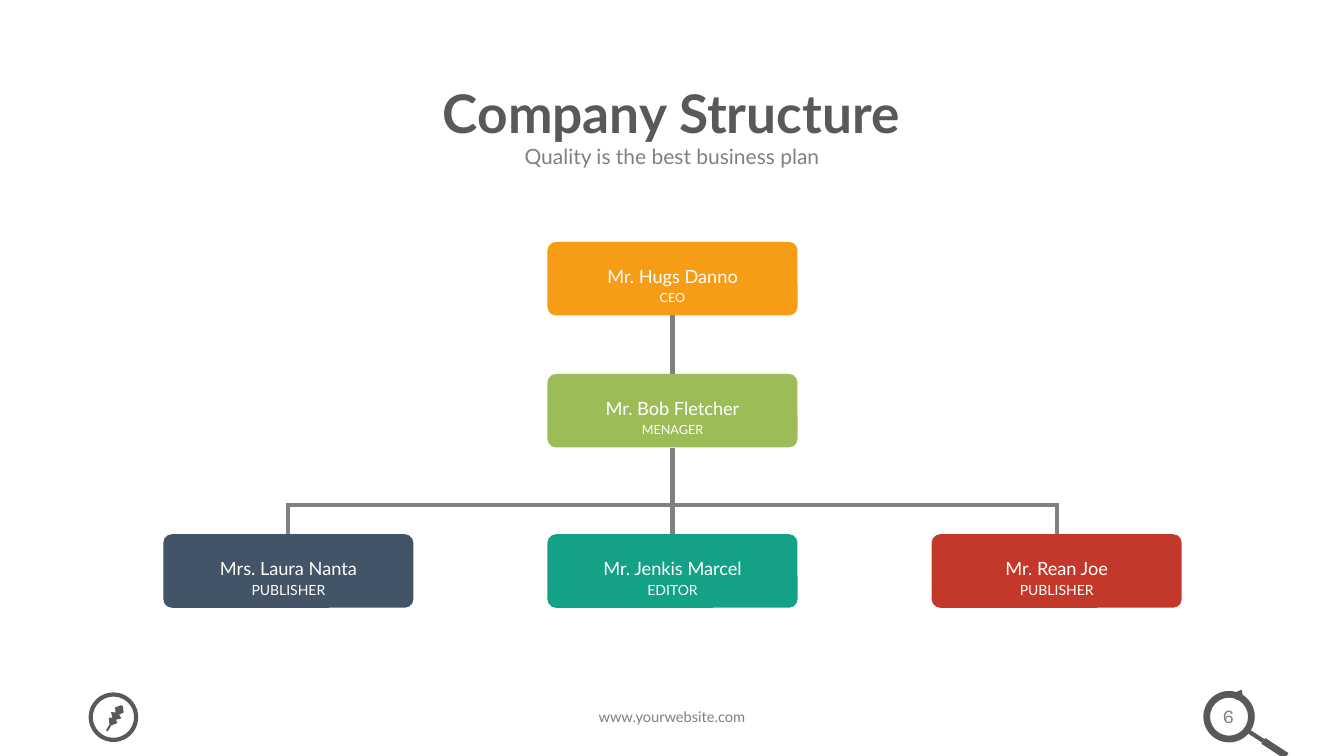
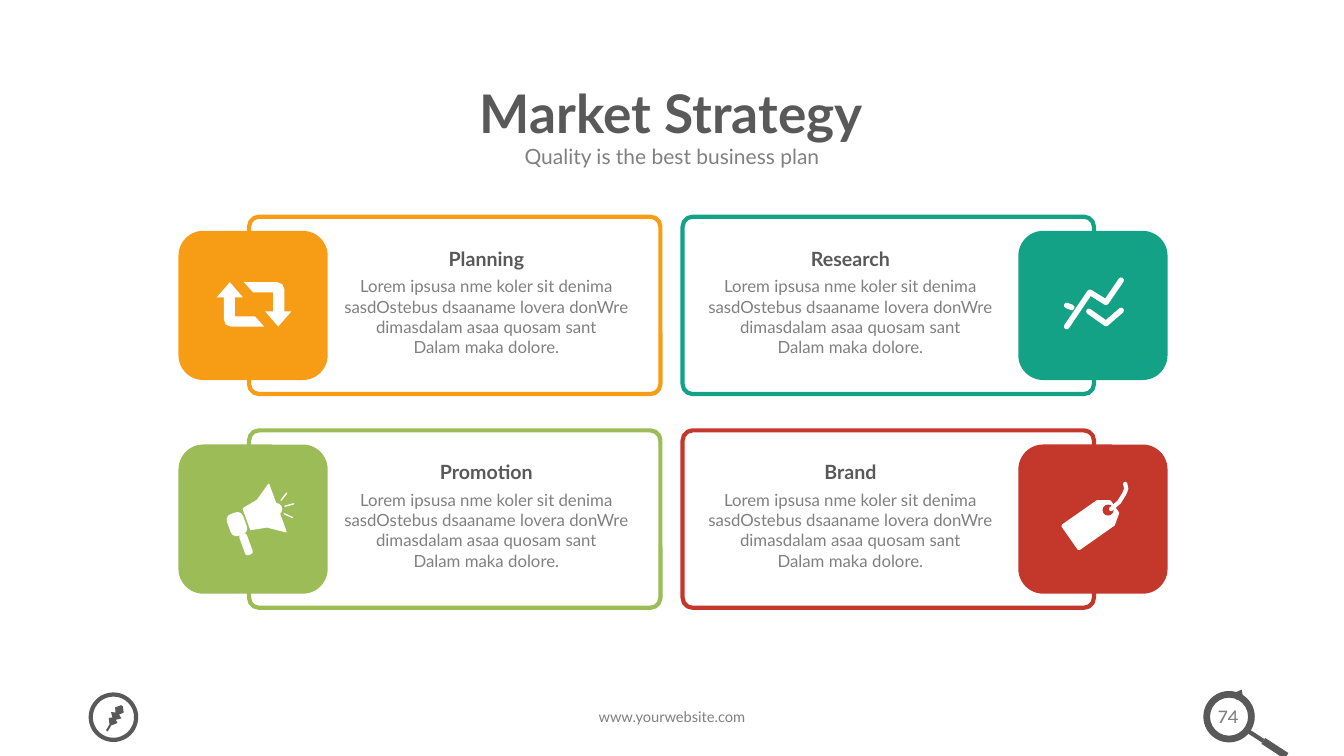
import math

import pptx
import pptx.dml.color
import pptx.enum.shapes
import pptx.enum.text
import pptx.oxml.ns
import pptx.util
from lxml import etree

Inches = pptx.util.Inches
RGBColor = pptx.dml.color.RGBColor
SHAPE = pptx.enum.shapes.MSO_SHAPE
TOP = pptx.enum.text.MSO_ANCHOR.TOP
MIDDLE = pptx.enum.text.MSO_ANCHOR.MIDDLE

DARK = RGBColor(0x59, 0x59, 0x59)
GRAY = RGBColor(0x80, 0x80, 0x80)
WHITE = RGBColor(0xFF, 0xFF, 0xFF)
ORANGE = RGBColor(0xF6, 0x9C, 0x15)
GREEN = RGBColor(0x9C, 0xBC, 0x58)
TEAL = RGBColor(0x13, 0xA2, 0x86)
RED = RGBColor(0xC3, 0x38, 0x2B)
NAVY = RGBColor(0x44, 0x54, 0x68)

# Organisation chart
PERSON_WIDTH, PERSON_HEIGHT = 2.48, 0.73
CHART_MIDDLE, BRANCH_SPREAD = 6.67, 3.81
CEO_TOP, MANAGER_TOP, BRANCH_BAR, TEAM_TOP = 2.4, 3.71, 5.01, 5.3

# Strategy cards
CARD_WIDTH, CARD_HEIGHT = 4.08, 1.76
BADGE = 1.48
BADGE_INSET = (CARD_HEIGHT - BADGE) / 2
TEXT_WIDTH = 3.13
LEFT_COLUMN = {"card_left": 2.47, "text_left": 3.26, "badge_left": 1.77}
RIGHT_COLUMN = {"card_left": 6.77, "text_left": 6.87, "badge_left": 10.1}
UPPER_ROW, LOWER_ROW = 2.15, 4.27
BODY = ["Lorem ipsusa nme koler sit denima sasdOstebus dsaaname lovera donWre "
        "dimasdalam asaa quosam sant", "Dalam maka dolore."]


def mirrored(half):
    """Complete one side of an outline with its reflection across the x axis."""
    return half + [(x, -y) for x, y in reversed(half)]


def turned(points, degrees):
    cosine, sine = math.cos(math.radians(degrees)), math.sin(math.radians(degrees))
    return [(x * cosine - y * sine, x * sine + y * cosine) for x, y in points]


class Slides:
    def __init__(self):
        self.deck = pptx.Presentation()
        self.deck.slide_width = Inches(13.33)
        self.deck.slide_height = Inches(7.5)
        self.page = None

    def new_page(self, title, number):
        self.page = self.deck.slides.add_slide(self.deck.slide_layouts[6])
        self.text(1.66, 0.74, 10, 0.82, [title], 38, DARK, bold=True, spacing=0.9, anchor=MIDDLE)
        self.text(2.67, 1.37, 7.99, 0.39, ["Quality is the best business plan"], 15, GRAY)
        self.text(4.25, 6.97, 4.83, 0.29, ["www.yourwebsite.com"], 10.5, GRAY)
        self.shape(SHAPE.OVAL, 0.9, 6.89, 0.45, 0.45, line=DARK)
        draw_feather(self, 1.06, 7.25)
        draw_magnifier(self, 12.19, 7.11)
        self.text(11.88, 6.93, 0.61, 0.34, [str(number)], 14, GRAY, font="Karla")

    def text(self, left, top, width, height, lines, size, color, bold=False,
             spacing=None, anchor=TOP, font="Lato"):
        box = self.page.shapes.add_textbox(Inches(left), Inches(top), Inches(width), Inches(height))
        frame = box.text_frame
        frame.word_wrap = True
        frame.vertical_anchor = anchor
        frame.text = "\n".join(lines)
        for para in frame.paragraphs:
            para.alignment = pptx.enum.text.PP_ALIGN.CENTER
            if spacing:
                para.line_spacing = spacing
            for span in para.runs:
                span.font.name = font
                span.font.size = pptx.util.Pt(size)
                span.font.bold = bold
                span.font.color.rgb = color

    def paint(self, shape, fill=None, line=None, width=3):
        shape.shadow.inherit = False
        if fill is None:
            shape.fill.background()
        else:
            shape.fill.solid()
            shape.fill.fore_color.rgb = fill
        if line is None:
            shape.line.fill.background()
        else:
            shape.line.color.rgb = line
            shape.line.width = pptx.util.Pt(width)
        return shape

    def shape(self, kind, left, top, width, height, fill=None, line=None, adjustments=()):
        shape = self.page.shapes.add_shape(kind, Inches(left), Inches(top),
                                           Inches(width), Inches(height))
        for index, value in enumerate(adjustments):
            shape.adjustments[index] = value
        return self.paint(shape, fill, line)

    def centered(self, kind, x, y, width, height, fill, rotation=0, adjustments=()):
        shape = self.shape(kind, x - width / 2, y - height / 2, width, height, fill,
                           adjustments=adjustments)
        shape.rotation = rotation

    def freeform(self, x, y, points, closed):
        corners = [(Inches(x + across), Inches(y + down)) for across, down in points]
        builder = self.page.shapes.build_freeform(*corners[0])
        builder.add_line_segments(corners[1:], close=closed)
        return builder.convert_to_shape()

    def polygon(self, x, y, points, fill, rounding=None):
        """Fill an outline placed around x, y; rounding is the width of a soft edge."""
        shape = self.freeform(x, y, points, closed=True)
        self.paint(shape, fill, fill if rounding else None, rounding)
        if rounding:
            self.round_ends(shape)

    def stroke(self, x, y, points, color, width):
        shape = self.freeform(x, y, points, closed=False)
        self.paint(shape, line=color, width=width)
        self.round_ends(shape)

    def round_ends(self, shape):
        line = shape._element.spPr.get_or_add_ln()
        line.set("cap", "rnd")
        etree.SubElement(line, pptx.oxml.ns.qn("a:round"))

    def connector(self, start, end, upper=None, lower=None, color=GRAY, width=3):
        """Draw a line, joined to the bottom of upper and the top of lower if given."""
        line = self.page.shapes.add_connector(
            pptx.enum.shapes.MSO_CONNECTOR.STRAIGHT, *(Inches(value) for value in start + end))
        if upper is not None:
            line.begin_connect(upper, 2)
        if lower is not None:
            line.end_connect(lower, 0)
        line.line.color.rgb = color
        line.line.width = pptx.util.Pt(width)
        etree.SubElement(line._element.spPr, pptx.oxml.ns.qn("a:effectLst"))

    def person(self, center, top, name, role, color, role_size):
        left = center - PERSON_WIDTH / 2
        box = self.shape(SHAPE.ROUNDED_RECTANGLE, left, top, PERSON_WIDTH, PERSON_HEIGHT,
                         fill=color, adjustments=[0.116])
        for offset, height, line, size in ((0.07, 0.43, name, 13), (0.34, 0.34, role, role_size)):
            self.text(left, top + offset, PERSON_WIDTH, height, [line], size, WHITE,
                      spacing=1.5, anchor=MIDDLE)
        return box

    def card(self, column, top, heading, color, draw_icon):
        text_left, badge_left = column["text_left"], column["badge_left"]
        badge_top = top + BADGE_INSET
        self.shape(SHAPE.ROUNDED_RECTANGLE, column["card_left"], top, CARD_WIDTH, CARD_HEIGHT,
                   line=color, adjustments=[0.056])
        self.text(text_left, top + 0.13, TEXT_WIDTH, 0.45, [heading], 14, DARK, bold=True,
                  spacing=1.5)
        self.text(text_left, top + 0.54, TEXT_WIDTH, 0.91, BODY, 12, GRAY)
        self.shape(SHAPE.ROUNDED_RECTANGLE, badge_left, badge_top, BADGE, BADGE, fill=color)
        draw_icon(self, badge_left + BADGE / 2, badge_top + BADGE / 2, color)


def draw_feather(slides, x, y):
    """Draw a feather whose quill starts at x, y: three barbs on each side of the shaft."""
    half = [(0, 0.01), (0.07, 0.01)]
    for station, reach in ((0.08, 0.05), (0.14, 0.06), (0.2, 0.05)):
        half += [(station, 0.02), (station + 0.04, reach)]
    half.append((0.29, 0.01))
    slides.polygon(x, y, turned(mirrored(half), -59), DARK)


def draw_magnifier(slides, x, y):
    slides.centered(SHAPE.DONUT, x, y, 0.51, 0.51, DARK, adjustments=[0.13])
    slides.centered(SHAPE.RIGHT_ARROW, x + 0.1, y - 0.22, 0.11, 0.11, DARK, rotation=298.7,
                    adjustments=[0.32, 0.64])
    joint = (x + 0.34, y + 0.24)
    slides.connector((x + 0.2, y + 0.15), joint, color=DARK, width=3)
    slides.connector(joint, (x + 0.57, y + 0.39), color=DARK, width=5)


def draw_cycle(slides, x, y, badge_color):
    """Draw one bent arrow and the same arrow turned by half a circle."""
    bend = [(0.3, -0.15), (0.28, -0.2), (0.23, -0.22)]
    shaft = [(-0.1, -0.22), (-0.01, -0.12), (0.19, -0.12), (0.19, 0.07)]
    head = [(0.11, 0.07), (0.24, 0.22), (0.37, 0.07), (0.3, 0.07)]
    for angle in (0, 180):
        slides.polygon(x + 0.01, y - 0.01, turned(bend + shaft + head, angle), WHITE)


def draw_trends(slides, x, y, badge_color):
    rising = [(-0.26, 0.21), (-0.03, -0.13), (0.13, -0.03), (0.28, -0.25)]
    falling = [(-0.04, 0.06), (0.13, 0.18), (0.28, 0.05)]
    falling_start = [(-0.26, 0), (-0.21, 0.02)]
    for points in (rising, falling, falling_start):
        slides.stroke(x, y, points, WHITE, 4)


def draw_megaphone(slides, x, y, badge_color):
    tilt = -20
    horn = mirrored([(0, 0.11), (0.16, 0.14), (0.32, 0.25)])
    slides.polygon(x - 0.06, y, turned(horn, tilt), WHITE, rounding=1)
    slides.centered(SHAPE.ROUNDED_RECTANGLE, x - 0.16, y + 0.05, 0.17, 0.23, WHITE, tilt, [0.35])
    slides.centered(SHAPE.ROUNDED_RECTANGLE, x - 0.07, y + 0.25, 0.08, 0.22, WHITE, tilt, [0.35])
    slides.centered(SHAPE.OVAL, x + 0.23, y - 0.1, 0.12, 0.12, WHITE)
    for ray_angle in (-52, -15, 25):
        slides.stroke(x + 0.21, y - 0.1, turned([(0.11, 0), (0.2, 0)], ray_angle), WHITE, 1)


def draw_tag(slides, x, y, badge_color):
    label = mirrored([(-0.28, 0.14), (0.14, 0.14), (0.24, 0.07)])
    slides.polygon(x + 0.01, y + 0.02, turned(label, -35), WHITE, rounding=2)
    slides.centered(SHAPE.OVAL, x + 0.15, y - 0.09, 0.11, 0.11, badge_color)
    string = [(0.18, -0.1), (0.26, -0.17), (0.31, -0.25), (0.33, -0.3), (0.32, -0.35)]
    slides.stroke(x, y, string, WHITE, 3)


def company_structure(slides):
    slides.new_page("Company Structure", 6)
    left, right = CHART_MIDDLE - BRANCH_SPREAD, CHART_MIDDLE + BRANCH_SPREAD
    ceo = slides.person(CHART_MIDDLE, CEO_TOP, "Mr. Hugs Danno", "CEO", ORANGE, 9)
    manager = slides.person(CHART_MIDDLE, MANAGER_TOP, "Mr. Bob Fletcher", "MENAGER", GREEN, 9)
    slides.connector((CHART_MIDDLE, CEO_TOP + PERSON_HEIGHT), (CHART_MIDDLE, MANAGER_TOP),
                     ceo, manager)
    slides.connector((CHART_MIDDLE, MANAGER_TOP + PERSON_HEIGHT), (CHART_MIDDLE, BRANCH_BAR),
                     upper=manager)
    slides.connector((left - 0.02, BRANCH_BAR), (right + 0.02, BRANCH_BAR))
    for center, name, role, color in (
            (left, "Mrs. Laura Nanta", "PUBLISHER", NAVY),
            (CHART_MIDDLE, "Mr. Jenkis Marcel", "EDITOR", TEAL),
            (right, "Mr. Rean Joe", "PUBLISHER", RED)):
        box = slides.person(center, TEAM_TOP, name, role, color, 10)
        slides.connector((center, BRANCH_BAR), (center, TEAM_TOP), lower=box)


def market_strategy(slides):
    slides.new_page("Market Strategy", 74)
    for column, row, heading, color, draw_icon in (
            (LEFT_COLUMN, UPPER_ROW, "Planning", ORANGE, draw_cycle),
            (RIGHT_COLUMN, UPPER_ROW, "Research", TEAL, draw_trends),
            (LEFT_COLUMN, LOWER_ROW, "Promotion", GREEN, draw_megaphone),
            (RIGHT_COLUMN, LOWER_ROW, "Brand", RED, draw_tag)):
        slides.card(column, row, heading, color, draw_icon)


def main():
    slides = Slides()
    company_structure(slides)
    market_strategy(slides)
    slides.deck.save("out.pptx")


if __name__ == "__main__":
    main()
